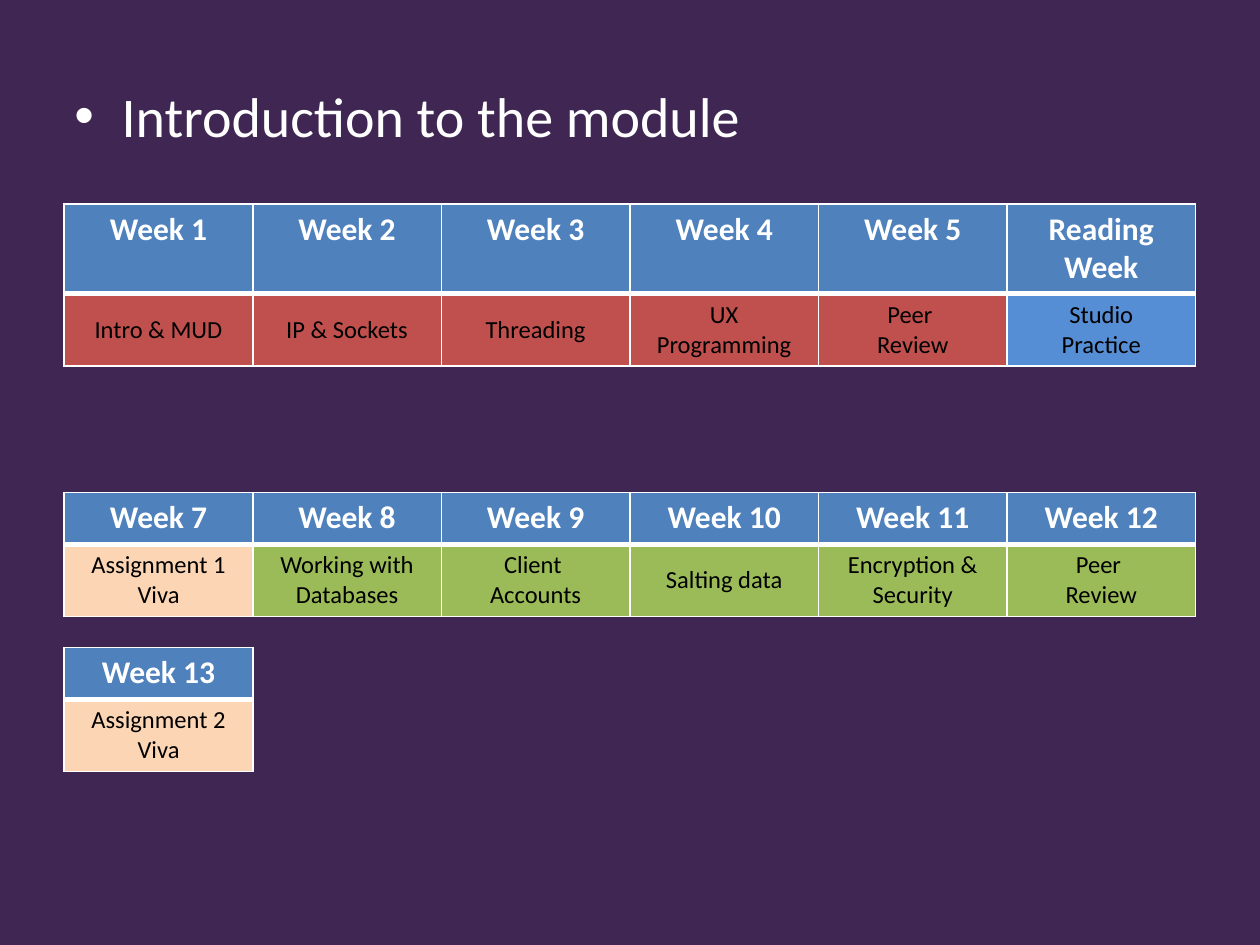
from lxml import etree
from pptx import Presentation
from pptx.dml.color import RGBColor
from pptx.enum.text import MSO_ANCHOR, PP_ALIGN
from pptx.oxml.ns import qn
from pptx.util import Inches, Pt

CENTER = PP_ALIGN.CENTER
TOP, MIDDLE = MSO_ANCHOR.TOP, MSO_ANCHOR.MIDDLE
FONT = "Calibri"
COLORS = {
    "background": "402652",
    "white": "FFFFFF",
    "black": "000000",
    "header": "4F81BD",
    "first_half": "C0504D",
    "second_half": "9BBB59",
    "studio": "558ED5",
    "viva": "FCD5B5",
}
LEFT = 0.51
COLUMN_WIDTH = 8.98 / 6
ROW_HEIGHT = 0.41

# Each timetable: top, then (heading, topic, topic colour) for each week
TIMETABLES = [
    (1.62, [
        ("Week 1", "Intro & MUD", "first_half"),
        ("Week 2", "IP & Sockets", "first_half"),
        ("Week 3", "Threading", "first_half"),
        ("Week 4", "UX\nProgramming", "first_half"),
        ("Week 5", "Peer \nReview", "first_half"),
        ("Reading Week", "Studio\nPractice", "studio"),
    ]),
    (3.91, [
        ("Week 7", "Assignment 1 Viva", "viva"),
        ("Week 8", "Working with Databases", "second_half"),
        ("Week 9", "Client \nAccounts", "second_half"),
        ("Week 10", "Salting data", "second_half"),
        ("Week 11", "Encryption & Security", "second_half"),
        ("Week 12", "Peer \nReview", "second_half"),
    ]),
    (5.14, [("Week 13", "Assignment 2 Viva", "viva")]),
]


def color(name):
    return RGBColor.from_string(COLORS[name])


def style_font(font, size, color_name, bold=False):
    font.name = FONT
    font.size = Pt(size)
    font.bold = bold
    font.color.rgb = color(color_name)


def set_borders(cell, **widths):
    """Draw white borders; the line elements come before the cell fill."""
    properties = cell._tc.get_or_add_tcPr()
    for index, side in enumerate("LRTB"):
        line = etree.Element(qn(f"a:ln{side}"), w=str(Pt(widths.get(side, 1))))
        fill = etree.SubElement(line, qn("a:solidFill"))
        etree.SubElement(fill, qn("a:srgbClr"), val=COLORS["white"])
        properties.insert(index, line)


def fill_cell(cell, text, fill_name, size, text_color, bold, anchor):
    cell.text_frame.text = text
    cell.vertical_anchor = anchor
    cell.fill.solid()
    cell.fill.fore_color.rgb = color(fill_name)
    for paragraph in cell.text_frame.paragraphs:
        paragraph.alignment = CENTER
        for run in paragraph.runs:
            style_font(run.font, size, text_color, bold)


def add_heading(slide, left, top, width, height):
    body = slide.placeholders[1]
    body.left, body.top = Inches(left), Inches(top)
    body.width, body.height = Inches(width), Inches(height)
    body.text_frame.text = "Introduction to the module"
    style_font(body.text_frame.paragraphs[0].runs[0].font, 32, "white")


def add_timetable(slide, left, top, weeks):
    table = slide.shapes.add_table(
        2, len(weeks), Inches(left), Inches(top),
        Inches(COLUMN_WIDTH * len(weeks)), Inches(2 * ROW_HEIGHT)).table
    table.horz_banding = False
    for row in table.rows:
        row.height = Inches(ROW_HEIGHT)
    for index, (heading, topic, topic_color) in enumerate(weeks):
        table.columns[index].width = Inches(COLUMN_WIDTH)
        header_cell, topic_cell = table.cell(0, index), table.cell(1, index)
        fill_cell(header_cell, heading, "header", 18, "white", True, TOP)
        fill_cell(topic_cell, topic, topic_color, 14, "black", False, MIDDLE)
        # Thick rule between the heading and the topic
        set_borders(header_cell, B=3)
        set_borders(topic_cell, T=3)


def main():
    presentation = Presentation()
    presentation.slide_width = Inches(10)
    presentation.slide_height = Inches(7.5)
    slide = presentation.slides.add_slide(presentation.slide_layouts[1])
    slide.background.fill.solid()
    slide.background.fill.fore_color.rgb = color("background")

    # The heading is the bullet in the body, so the title goes
    title = slide.shapes.title.element
    title.getparent().remove(title)
    add_heading(slide, 0.49, 0.6, 9, 6.69)

    for top, weeks in TIMETABLES:
        add_timetable(slide, LEFT, top, weeks)
    presentation.save("out.pptx")


if __name__ == "__main__":
    main()
